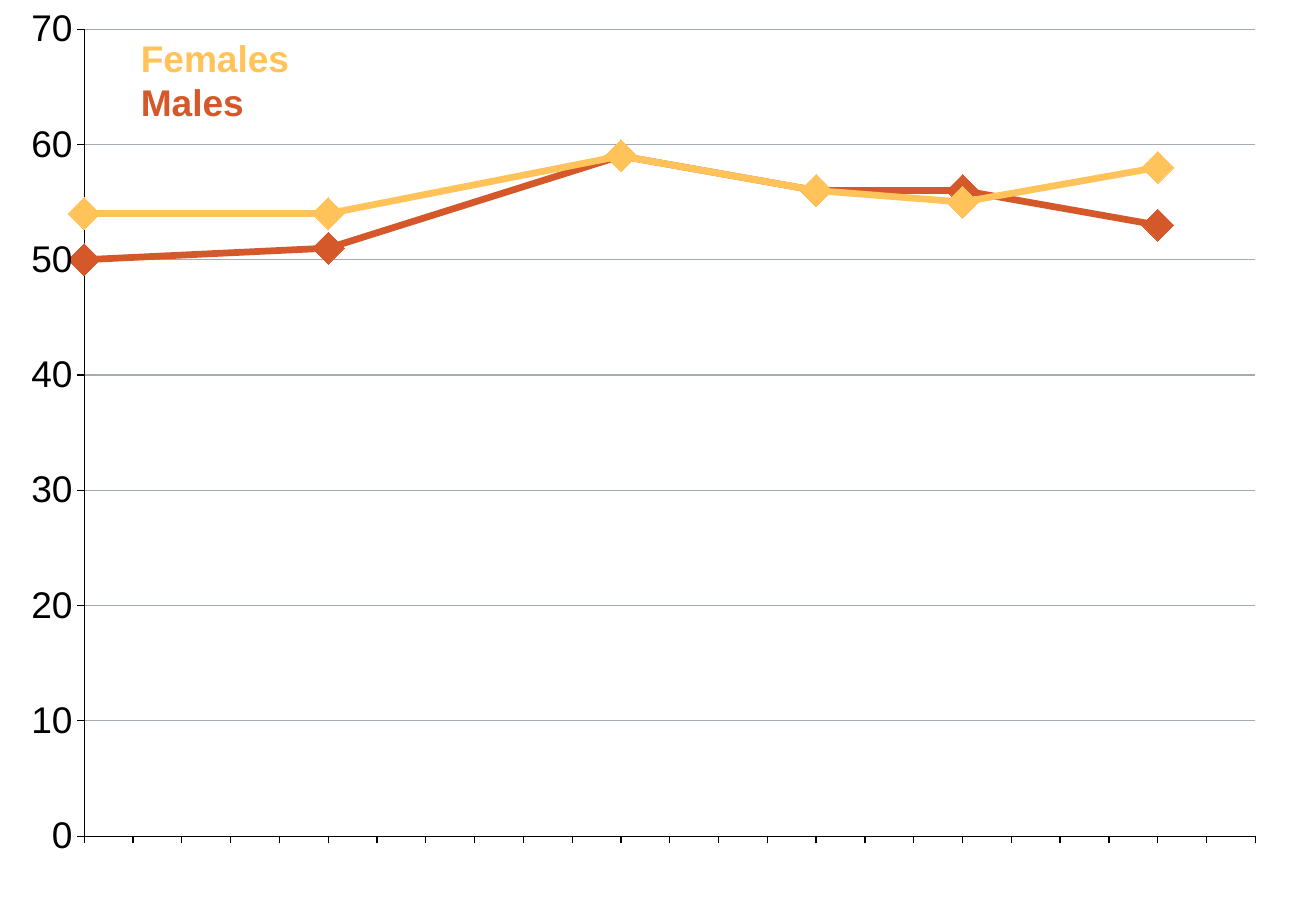
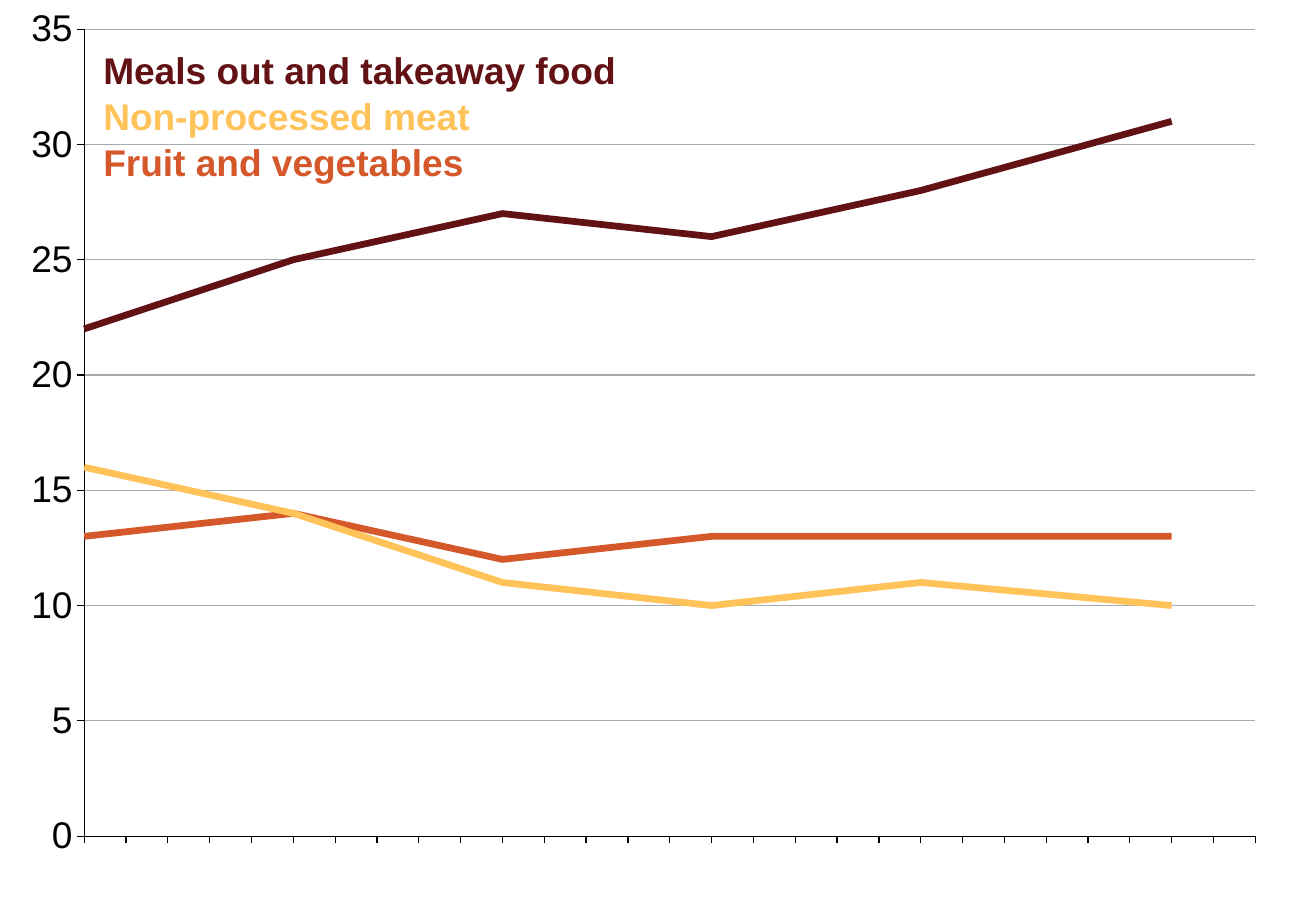
from lxml.etree import SubElement
from pptx import Presentation
from pptx.chart.data import CategoryChartData
from pptx.dml.color import RGBColor
from pptx.enum.chart import XL_CHART_TYPE, XL_MARKER_STYLE, XL_TICK_LABEL_POSITION, XL_TICK_MARK
from pptx.enum.text import MSO_AUTO_SIZE
from pptx.oxml.ns import qn
from pptx.util import Inches, Pt

BLACK = RGBColor(0x00, 0x00, 0x00)
GRID_GREY = RGBColor(0xA4, 0xAB, 0xB1)
ORANGE = RGBColor(0xD4, 0x58, 0x2A)
YELLOW = RGBColor(0xFF, 0xC3, 0x5A)
MAROON = RGBColor(0x62, 0x12, 0x14)

FONT = "Arial"
TEXT_SIZE = Pt(22)
PLOT_AREA = {"x": 0.064, "y": 0.032, "w": 0.89, "h": 0.886}  # shares of the slide
KEY_HEIGHT = Inches(0.37)

# Series run from back to front; point_ticks are the unlabelled ticks that carry a point.
SLIDES = [
    {
        "tick_count": 25,
        "point_ticks": [0, 5, 11, 15, 18, 22],
        "series": [
            ("Males", ORANGE, [50, 51, 59, 56, 56, 53]),
            ("Females", YELLOW, [54, 54, 59, 56, 55, 58]),
        ],
        "markers": True,
        "scale": {"minimum_scale": 0, "maximum_scale": 70, "major_unit": 10},
        "key_rows": ["Females", "Males"],
        "key_at": (1.16, 0.29),
        "key_width": 2.44,
        "key_pitch": 0.36,
    },
    {
        "tick_count": 29,
        "point_ticks": [0, 5, 10, 15, 20, 26],
        "series": [
            ("Fruit and vegetables", ORANGE, [13, 14, 12, 13, 13, 13]),
            ("Non-processed meat", YELLOW, [16, 14, 11, 10, 11, 10]),
            ("Meals out and takeaway food", MAROON, [22, 25, 27, 26, 28, 31]),
        ],
        "markers": False,
        "scale": {"minimum_scale": 0, "maximum_scale": 35, "major_unit": 5},
        "key_rows": ["Meals out and takeaway food", "Non-processed meat", "Fruit and vegetables"],
        "key_at": (0.85, 0.39),
        "key_width": 4.41,
        "key_pitch": 0.38,
    },
]


def set_attributes(target, values):
    for name, value in values.items():
        setattr(target, name, value)


def fix_plot_layout(chart):
    """Place the plot area, start lines on the value axis and bridge empty ticks."""
    space = chart._chartSpace
    plot_area = space.find(".//" + qn("c:plotArea"))
    for old in plot_area.findall(qn("c:layout")):
        plot_area.remove(old)
    layout = SubElement(plot_area, qn("c:layout"))
    plot_area.insert(0, layout)
    manual = SubElement(layout, qn("c:manualLayout"))
    settings = {"layoutTarget": "inner", "xMode": "edge", "yMode": "edge", **PLOT_AREA}
    for tag, value in settings.items():
        SubElement(manual, qn("c:" + tag)).set("val", str(value))

    value_axis = plot_area.find(qn("c:valAx"))
    for old in value_axis.findall(qn("c:crossBetween")):
        value_axis.remove(old)
    cross_between = SubElement(value_axis, qn("c:crossBetween"))
    cross_between.set("val", "midCat")
    value_axis.find(qn("c:crosses")).addnext(cross_between)

    space.find(".//" + qn("c:dispBlanksAs")).set("val", "span")


prs = Presentation()
prs.slide_width, prs.slide_height = Inches(10.83), Inches(7.5)

for content in SLIDES:
    slide = prs.slides.add_slide(prs.slide_layouts[6])

    data = CategoryChartData(number_format="0")
    data.categories = [""] * content["tick_count"]
    for name, _, values in content["series"]:
        by_tick = dict(zip(content["point_ticks"], values))
        data.add_series(name, [by_tick.get(tick) for tick in range(content["tick_count"])])
    kind = XL_CHART_TYPE.LINE_MARKERS if content["markers"] else XL_CHART_TYPE.LINE
    chart = slide.shapes.add_chart(kind, 0, 0, prs.slide_width, prs.slide_height, data).chart
    set_attributes(chart, {"has_title": False, "has_legend": False})
    set_attributes(chart.font, {"name": FONT, "size": Pt(18)})
    chart.font.color.rgb = BLACK
    chart.plots[0].vary_by_categories = False

    tick_axis, value_axis = chart.category_axis, chart.value_axis
    for axis in (tick_axis, value_axis):
        set_attributes(axis, {"major_tick_mark": XL_TICK_MARK.OUTSIDE,
                              "minor_tick_mark": XL_TICK_MARK.NONE})
        axis.format.line.color.rgb = BLACK
        axis.format.line.width = Pt(0.75)
    tick_axis.tick_label_position = XL_TICK_LABEL_POSITION.NONE
    set_attributes(value_axis, {"has_major_gridlines": True, **content["scale"]})
    set_attributes(value_axis.tick_labels, {"number_format": "0", "number_format_is_linked": False})
    value_axis.tick_labels.font.size = TEXT_SIZE
    gridline = value_axis.major_gridlines.format.line
    gridline.color.rgb = GRID_GREY
    gridline.width = Pt(0.75)
    fix_plot_layout(chart)

    left, top = content["key_at"]
    for trend, (name, color, _) in zip(chart.plots[0].series, content["series"]):
        trend.smooth = False
        trend.format.line.color.rgb = color
        trend.format.line.width = Pt(4)
        if content["markers"]:
            set_attributes(trend.marker, {"style": XL_MARKER_STYLE.DIAMOND, "size": 19})
            trend.marker.format.fill.solid()
            trend.marker.format.fill.fore_color.rgb = color
            trend.marker.format.line.fill.background()

        row = content["key_rows"].index(name)
        key = slide.shapes.add_textbox(Inches(left), Inches(top + row * content["key_pitch"]),
                                       Inches(content["key_width"]), KEY_HEIGHT).text_frame
        set_attributes(key, {"margin_left": 0, "margin_top": 0, "margin_right": 0,
                             "margin_bottom": 0, "word_wrap": True,
                             "auto_size": MSO_AUTO_SIZE.SHAPE_TO_FIT_TEXT})
        label = key.paragraphs[0].add_run()
        label.text = name
        set_attributes(label.font, {"name": FONT, "size": TEXT_SIZE, "bold": True})
        label.font.color.rgb = color

prs.save("out.pptx")
